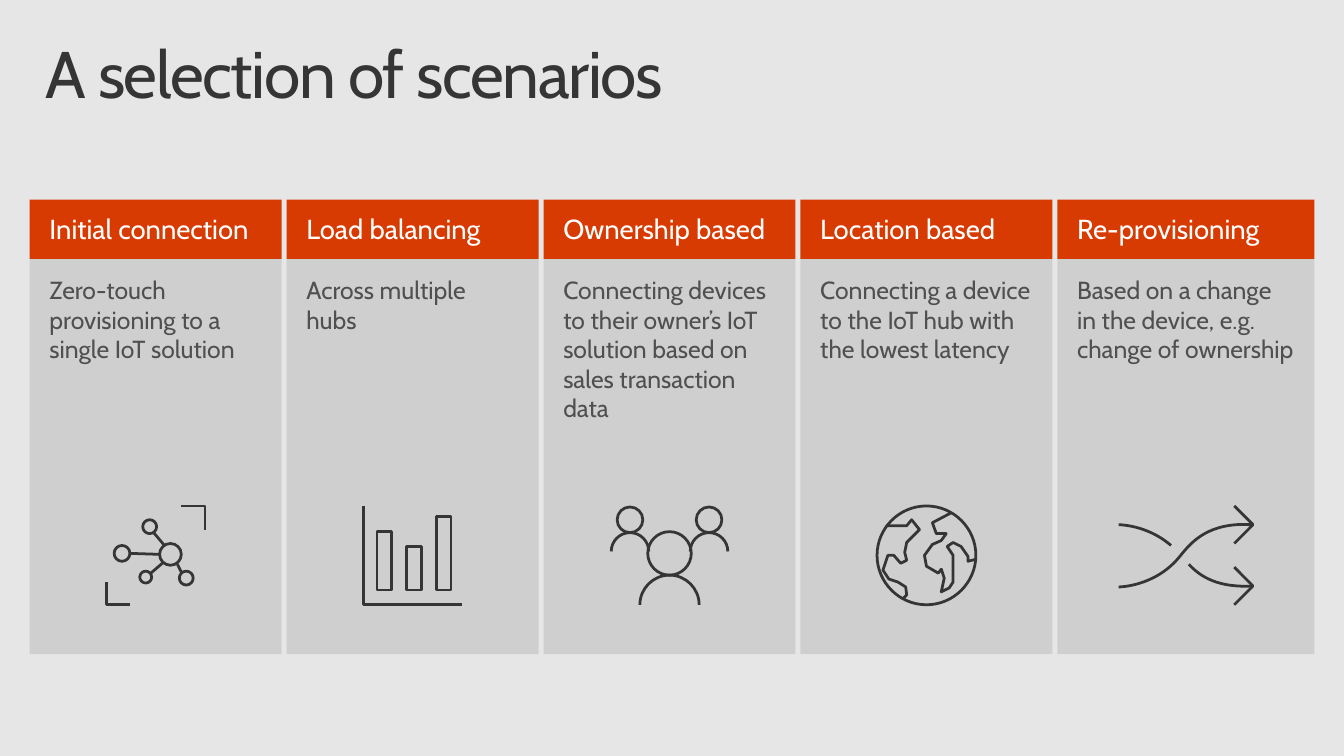
import math

import lxml.etree
import pptx
import pptx.dml.color
import pptx.enum.shapes
import pptx.enum.text
import pptx.oxml.ns
import pptx.util

RGB = pptx.dml.color.RGBColor
RECT = pptx.enum.shapes.MSO_SHAPE.RECTANGLE
TOP = pptx.enum.text.MSO_ANCHOR.TOP
LEFT = pptx.enum.text.PP_ALIGN.LEFT
TAG = pptx.oxml.ns.qn
PX = 9144
BEND = 0.55
FONT = "Cabin"
DARK = RGB(0x35, 0x35, 0x35)
GRAY = RGB(0x50, 0x50, 0x50)
PALE = RGB(0xE6, 0xE6, 0xE6)
RED = RGB(0xD8, 0x3B, 0x01)
WHITE = RGB(0xFF, 0xFF, 0xFF)

WEST = [(-24, 44), (-20, 40), (-21, 32), (-29, 27), (-38, 24), (-44, 15),
        (-39, 0), (-33, 0), (-26, 8), (-20, 5), (-22, -3), (-20, -13),
        (-7, -26), (-15, -36), (-20, -30), (-41, -30)]
EAST = [(25, -43), (6, -33), (10, -22), (20, -22), (15, -15), (6, -11),
        (-2, 0), (0, 11), (12, 18), (15, 14), (18, 23), (15, 37), (23, 33),
        (27, 27), (27, 0), (21, -9), (27, -13), (35, -9), (42, 1), (42, 6),
        (50, 4)]


def arc(x, y, r, start=0, end=360):
    """Return cubic points for an arc made of quarter turns."""
    points = [(x + r * math.cos(math.radians(start)),
               y + r * math.sin(math.radians(start)))]
    for turn in range(start, end, 90):
        c, s = math.cos(math.radians(turn)), math.sin(math.radians(turn))
        for a, b in ((c - BEND * s, s + BEND * c),
                     (BEND * c - s, BEND * s + c), (-s, c)):
            points.append((x + r * a, y + r * b))
    return points


def nodes():
    """Return the curves and lines of the linked nodes."""
    rings = [(15, -1, 11), (31, 23, 7), (-10, 22, 6), (-34, -2, 8), (-6, -29, 7)]
    return [arc(*ring) for ring in rings], [
        [(26, -50), (50, -50), (50, -26)], [(-50, 27), (-50, 50), (-26, 50)],
        [(-2, -23), (9, -10)], [(26, 17), (22, 9)],
        [(-6, 19), (8, 7)], [(-26, -2), (4, -1)]]


def bars():
    """Return the curves and lines of the bar graph."""
    lines = [[(-50, -50), (-50, 50), (50, 50)]]
    for i, y in enumerate((-24, -9, -39)):
        x = -36 + 30 * i
        lines.append([(x, 35), (x, y), (x + 15, y), (x + 15, 35), (x, 35)])
    return [], lines


def people():
    """Return the curves and lines of the three people."""
    curves = [arc(0, -2, 22), arc(0, 50, 30, 180, 360)]
    for x in (-40, 40):
        curves += [arc(x, -36, 13), arc(x, -4, 19, 180, 360)]
    return curves, []


def globe():
    """Return the curves and lines of the globe."""
    return [arc(0, 0, 50)], [WEST, EAST]


def arrows():
    """Return the curves and lines of the crossing arrows."""
    curves = [
        [(68, 31), (33, 33), (15, 22), (3, 9)],
        [(-15, -10), (-39, -31), (-68, -31), (-68, -31)],
        [(68, -31), (23, -34), (6, -14), (-6, 1),
         (-31, 32), (-68, 32), (-68, 32)]]
    return curves, [[(49, y - 19), (68, y), (49, y + 19)] for y in (-31, 31)]


COLS = [
    ("Initial connection", "Zero-touch provisioning to a single IoT solution", nodes),
    ("Load balancing", "Across multiple hubs", bars),
    ("Ownership based", "Connecting devices to their owner’s IoT solution "
     "based on sales transaction data", people),
    ("Location based", "Connecting a device to the IoT hub with the lowest latency", globe),
    ("Re-provisioning", "Based on a change in the device, e.g. change of ownership", arrows),
]


def write(shape, text, size, color, pad, gap=None):
    """Write one left-aligned run into a shape and return it."""
    frame = shape.text_frame
    frame.word_wrap = True
    frame.auto_size = pptx.enum.text.MSO_AUTO_SIZE.NONE
    frame.vertical_anchor = TOP
    frame.margin_left = frame.margin_right = pad[0] * PX
    frame.margin_top = frame.margin_bottom = pad[1] * PX
    para = frame.paragraphs[0]
    para.alignment = LEFT
    para.line_spacing = gap
    run = para.add_run()
    run.text = text
    run.font.name = FONT
    run.font.size = pptx.util.Pt(size)
    run.font.color.rgb = color
    return run


def panel(slide, box, color):
    """Add a plain filled rectangle."""
    shape = slide.shapes.add_shape(RECT, *[n * PX for n in box])
    shape.shadow.inherit = False
    shape.fill.solid()
    shape.fill.fore_color.rgb = color
    shape.line.fill.background()
    return shape


def bend(shape, curves):
    """Turn the leading strokes of an outline into cubic curves."""
    path = shape.element.spPr.find(".//" + TAG("a:path"))
    steps = iter(list(path))
    for points in curves:
        next(steps)
        for _ in range(len(points) // 3):
            trio = [next(steps) for _ in range(3)]
            cubic = lxml.etree.Element(TAG("a:cubicBezTo"))
            trio[0].addprevious(cubic)
            for step in trio:
                cubic.append(step[0])
                path.remove(step)


def icon(slide, x, y, curves, lines):
    """Draw curves and lines as one outline centred on a point."""
    paths = [[((x + a) * PX, (y + b) * PX) for a, b in s] for s in curves + lines]
    pen = slide.shapes.build_freeform(*paths[0][0])
    for i, path in enumerate(paths):
        if i:
            pen.move_to(*path[0])
        pen.add_line_segments(path[1:], close=False)
    shape = pen.convert_to_shape()
    bend(shape, curves)
    shape.shadow.inherit = False
    shape.fill.background()
    shape.line.color.rgb = DARK
    shape.line.width = pptx.util.Pt(2)


def column(slide, box, head, body, draw):
    """Build one scenario: header, text and icon."""
    x, y, w, h = box
    bar = 60
    write(panel(slide, (x, y, w, bar), RED), head, 20, WHITE, (20, 16), 0.9)
    card = panel(slide, (x, y + bar, w, h - bar), DARK)
    tint = card.element.spPr.find(".//" + TAG("a:srgbClr"))
    lxml.etree.SubElement(tint, TAG("a:alpha"), val="13000")
    write(card, body, 18, GRAY, (20, 16))
    icon(slide, x + w / 2, y + h - 100, *draw())


def title(slide, box, text):
    """Place and format the title."""
    shape = slide.shapes.title
    shape.left, shape.top, shape.width, shape.height = [n * PX for n in box]
    run = write(shape, text, 48, DARK, (16, 10), 0.9)
    run.font._element.set("spc", "-100")


def main():
    """Build and save the slide."""
    deck = pptx.Presentation()
    deck.slide_width, deck.slide_height = 1360 * PX, 765 * PX
    slide = deck.slides.add_slide(deck.slide_layouts[5])
    slide.background.fill.solid()
    slide.background.fill.fore_color.rgb = PALE
    title(slide, (30, 32, 1300, 100), "A selection of scenarios")
    for i, col in enumerate(COLS):
        wide = 260 if i == len(COLS) - 1 else 255
        column(slide, (30 + 260 * i, 202, wide, 460), *col)
    deck.save("out.pptx")


if __name__ == "__main__":
    main()
